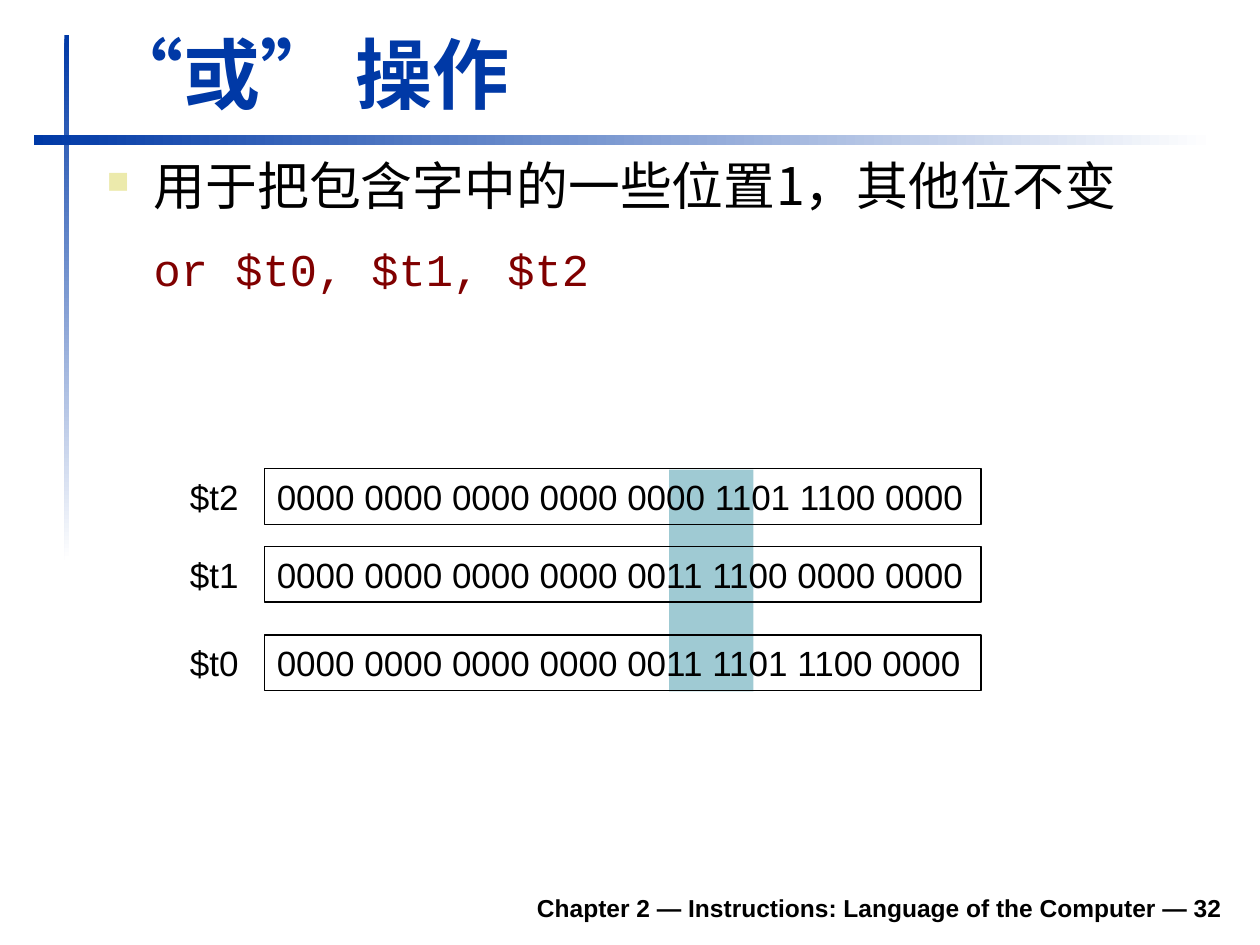
from dataclasses import dataclass

from lxml.etree import SubElement
from pptx import Presentation
from pptx.dml.color import RGBColor
from pptx.enum.shapes import MSO_SHAPE as Preset
from pptx.enum.text import MSO_ANCHOR as Anchor, MSO_AUTO_SIZE as AutoSize, PP_ALIGN as Align
from pptx.oxml.ns import qn
from pptx.util import Cm, Pt


@dataclass(frozen=True)
class Theme:
    blue: str = "0039A6"
    white: str = "FFFFFF"
    black: str = "000000"
    code: str = "800000"
    bullet: str = "ECEAAC"
    highlight: str = "9FCAD3"
    latin: str = "Arial"
    chinese: str = "Noto Sans CJK SC"
    mono: str = "Courier New"
    title_size: float = 44
    body_size: float = 29.6
    code_size: float = 25.9
    register_size: float = 20
    footer_size: float = 14


@dataclass(frozen=True)
class Box:
    left: float
    top: float
    width: float
    height: float

    def lengths(self) -> tuple:
        return Cm(self.left), Cm(self.top), Cm(self.width), Cm(self.height)


@dataclass(frozen=True)
class Register:
    name: str
    bits: str
    top: float


THEME = Theme()
REGISTERS = [
    Register("$t2", "0000 0000 0000 0000 0000 1101 1100 0000", 9.45),
    Register("$t1", "0000 0000 0000 0000 0011 1100 0000 0000", 11.02),
    Register("$t0", "0000 0000 0000 0000 0011 1101 1100 0000", 12.8),
]
ROW_HEIGHT = 1.12


def rgb(color: str) -> RGBColor:
    return RGBColor.from_string(color)


def style(paragraph, size: float, color: str = THEME.black, name: str = THEME.latin,
          bold: bool = False, align=Align.LEFT) -> None:
    paragraph.alignment = align
    font = paragraph.font
    font.size, font.bold, font.name = Pt(size), bold, name
    font.color.rgb = rgb(color)
    east_asian = SubElement(font._element, qn("a:ea"))
    east_asian.set("typeface", THEME.chinese)


def add_rectangle(slide, box: Box):
    shape = slide.shapes.add_shape(Preset.RECTANGLE, *box.lengths())
    shape.shadow.inherit = False
    shape.line.fill.background()
    return shape


def add_fading_bar(slide, box: Box, angle: float) -> None:
    fill = add_rectangle(slide, box).fill
    fill.gradient()
    fill.gradient_angle = angle
    for stop, color in zip(fill.gradient_stops, (THEME.blue, THEME.white)):
        stop.color.rgb = rgb(color)


def add_text(slide, box: Box, text: str, size: float, anchor=Anchor.MIDDLE,
             wrap: bool = False, **options) -> None:
    frame = slide.shapes.add_textbox(*box.lengths()).text_frame
    fill_frame(frame, text, size, anchor, wrap, **options)


def fill_frame(frame, text: str, size: float, anchor, wrap: bool, **options) -> None:
    frame.word_wrap = wrap
    frame.auto_size = AutoSize.NONE
    frame.vertical_anchor = anchor
    frame.text = text
    style(frame.paragraphs[0], size, **options)


def add_register(slide, register: Register) -> None:
    add_text(slide, Box(3.58, register.top, 1.47, ROW_HEIGHT), register.name, THEME.register_size)
    cell = add_rectangle(slide, Box(5.33, register.top, 14.45, ROW_HEIGHT))
    cell.fill.background()
    cell.line.color.rgb = rgb(THEME.black)
    cell.line.width = Pt(0.75)
    fill_frame(cell.text_frame, register.bits, THEME.register_size, Anchor.MIDDLE, False)


def indent(paragraph, first_line: float) -> None:
    properties = paragraph._p.get_or_add_pPr()
    properties.set("marL", str(Cm(0.95)))
    properties.set("indent", str(Cm(first_line)))


def add_bullet(paragraph) -> None:
    properties = paragraph._p.get_or_add_pPr()
    color = SubElement(properties, qn("a:buClr"))
    SubElement(color, qn("a:srgbClr")).set("val", THEME.bullet)
    SubElement(properties, qn("a:buSzPct")).set("val", "60000")
    SubElement(properties, qn("a:buChar")).set("char", "■")


def add_body(slide) -> None:
    frame = slide.shapes.add_textbox(*Box(1.9, 3.12, 22.96, 4.39).lengths()).text_frame
    frame.word_wrap = True

    purpose = frame.paragraphs[0]
    purpose.text = "用于把包含字中的一些位置1，其他位不变"
    purpose.line_spacing = 0.9
    indent(purpose, -0.95)
    add_bullet(purpose)
    style(purpose, THEME.body_size, name=THEME.chinese)

    instruction = frame.add_paragraph()
    instruction.text = "or $t0, $t1, $t2"
    instruction.line_spacing = 0.9
    instruction.space_before, instruction.space_after = Pt(17.5), Pt(10.5)
    indent(instruction, 0)
    style(instruction, THEME.code_size, THEME.code, THEME.mono)


def main() -> None:
    presentation = Presentation()
    presentation.slide_width, presentation.slide_height = Cm(25.4), Cm(19.05)
    slide = presentation.slides.add_slide(presentation.slide_layouts[5])

    # Title and the fading rules beside it
    title = slide.shapes.title
    title.left, title.top, title.width, title.height = Box(1.9, 0.41, 22.94, 2.11).lengths()
    fill_frame(title.text_frame, "“或” 操作", THEME.title_size, Anchor.BOTTOM, True,
               color=THEME.blue, bold=True)
    add_fading_bar(slide, Box(1.3, 0.71, 0.1, 10.59), 270)
    add_fading_bar(slide, Box(0.69, 2.72, 23.8, 0.2), 0)

    # Explanation and instruction
    add_body(slide)

    # Registers over the highlighted bit column
    highlight = add_rectangle(slide, Box(13.49, 9.47, 1.7, 4.47))
    highlight.fill.solid()
    highlight.fill.fore_color.rgb = rgb(THEME.highlight)
    for register in REGISTERS:
        add_register(slide, register)

    # Footer
    add_text(slide, Box(4.7, 17.73, 20.19, 0.99),
             "Chapter 2 — Instructions: Language of the Computer — 32", THEME.footer_size,
             Anchor.BOTTOM, True, bold=True, align=Align.RIGHT)

    presentation.save("out.pptx")


if __name__ == "__main__":
    main()
